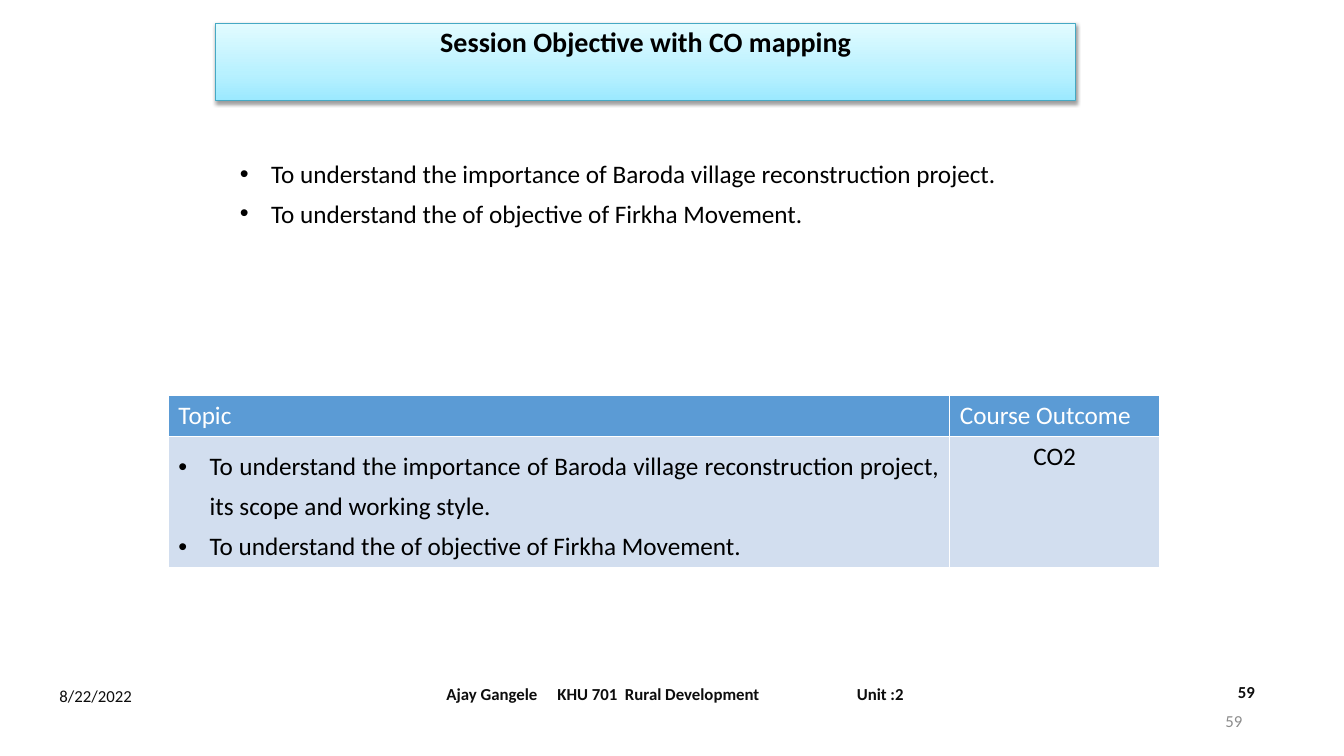
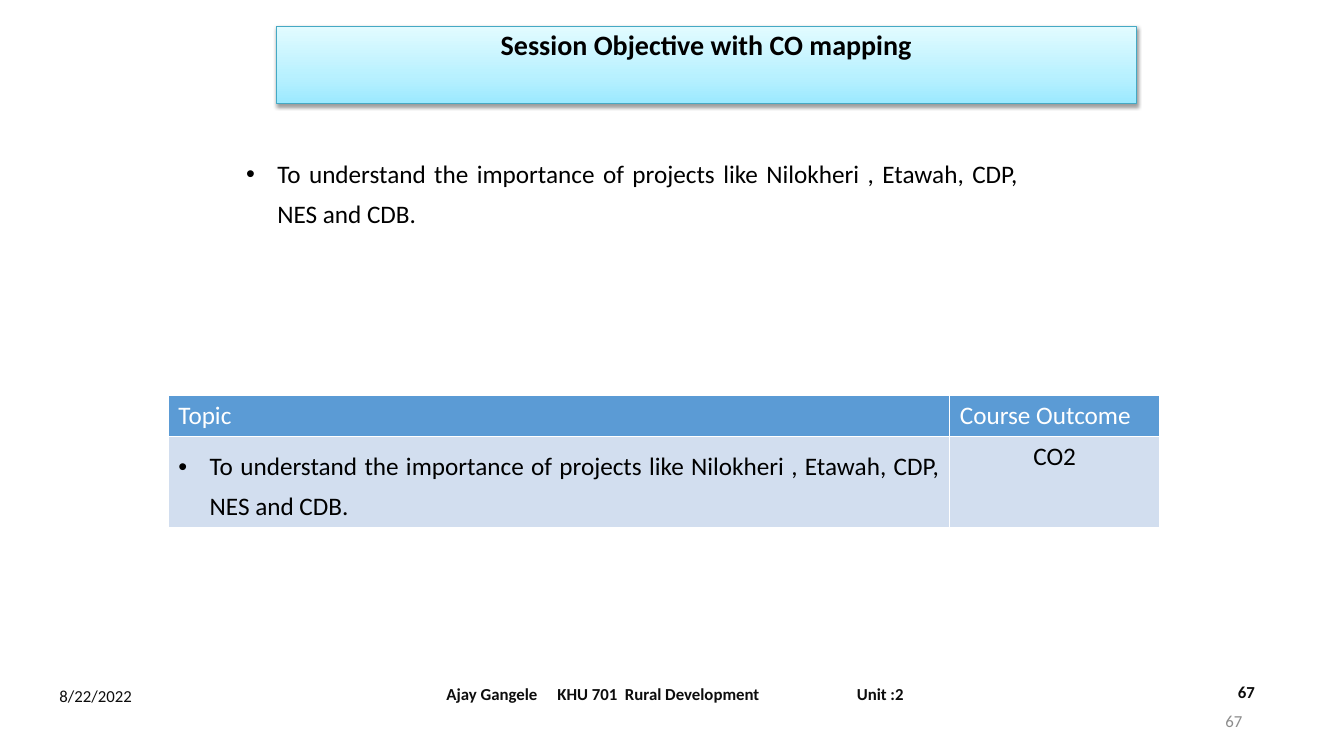
from lxml import etree
from pptx import Presentation
from pptx.dml.color import RGBColor
from pptx.enum.text import MSO_ANCHOR, MSO_AUTO_SIZE, PP_ALIGN
from pptx.oxml import parse_xml
from pptx.oxml.ns import nsdecls, qn
from pptx.util import Inches, Pt

LEFT, CENTER, RIGHT, JUSTIFY = PP_ALIGN.LEFT, PP_ALIGN.CENTER, PP_ALIGN.RIGHT, PP_ALIGN.JUSTIFY
TOP, MIDDLE = MSO_ANCHOR.TOP, MSO_ANCHOR.MIDDLE
NO_FIT = MSO_AUTO_SIZE.NONE

BLACK = RGBColor(0x00, 0x00, 0x00)
WHITE = RGBColor(0xFF, 0xFF, 0xFF)
INK = RGBColor(0x0D, 0x0D, 0x0D)
GRAY = RGBColor(0x8C, 0x8C, 0x8C)
TEAL = RGBColor(0x45, 0xA9, 0xC4)
BLUE = RGBColor(0x5B, 0x9B, 0xD5)
PALE_BLUE = RGBColor(0xD2, 0xDE, 0xEF)
BAND_STOPS = [
    (0, RGBColor(0x9B, 0xE9, 0xFF)),
    (35, RGBColor(0xB8, 0xF1, 0xFF)),
    (100, RGBColor(0xE2, 0xFB, 0xFF)),
]

TITLE = "Session Objective with CO mapping"
DATE = "8/22/2022"
FOOTER = "Ajay Gangele\tKHU 701  Rural Development\tUnit :2"
FOOTER_TABS = (1.1, 4.07)
HEADINGS = ("Topic", "Course Outcome")
COLUMNS = (7.75, 2.08)
HEADER_HEIGHT = 0.41
BULLET_INDENT = Inches(0.31)

SESSIONS = [
    {
        "number": 59,
        "title_at": (2.14, 0.23, 8.53, 0.77),
        "list_at": (2.28, 1.43, 7.86, 0.89),
        "objectives": [
            "To understand the importance of Baroda village reconstruction project.",
            "To understand the of objective of Firkha Movement.",
        ],
        "topics": [
            "To understand the importance of Baroda village reconstruction project, "
            "its scope and working style.",
            "To understand the of objective of Firkha Movement.",
        ],
        "outcome": "CO2",
        "topic_height": 1.27,
    },
    {
        "number": 67,
        "title_at": (2.74, 0.26, 8.53, 0.77),
        "list_at": (2.34, 1.43, 7.86, 0.86),
        "objectives": [
            "To understand the importance of projects like Nilokheri , Etawah, CDP, NES and CDB.",
        ],
        "topics": [
            "To understand the importance of projects like Nilokheri , Etawah, CDP, NES and CDB.",
        ],
        "outcome": "CO2",
        "topic_height": 0.88,
    },
]


class Deck:
    """Holds the shared style and the slide being built."""

    def __init__(self):
        self.prs = Presentation()
        self.prs.slide_width = Inches(13.33)
        self.prs.slide_height = Inches(7.5)
        self.slide = None

    def new_slide(self):
        self.slide = self.prs.slides.add_slide(self.prs.slide_layouts[1])

    def place(self, sp, at):
        for name, value in zip(("left", "top", "width", "height"), at):
            setattr(sp, name, Inches(value))

    def add_text(self, tf, lines, size, color, bold=False, bullets=False, **formats):
        for i, line in enumerate(lines):
            p = tf.paragraphs[0] if i == 0 else tf.add_paragraph()
            if bullets:
                self.bullet(p)
            for name, value in formats.items():
                setattr(p, name, value)
            r = p.add_run()
            r.text = line
            font = {"name": "Calibri", "size": Pt(size), "bold": bold}
            for name, value in font.items():
                setattr(r.font, name, value)
            r.font.color.rgb = color

    def bullet(self, p):
        pPr = p._p.get_or_add_pPr()
        pPr.set("marL", str(BULLET_INDENT))
        pPr.set("indent", str(-BULLET_INDENT))
        color = etree.SubElement(pPr, qn("a:buClr"))
        etree.SubElement(color, qn("a:srgbClr"), val=str(BLACK))
        etree.SubElement(pPr, qn("a:buFont"), typeface="Arial")
        etree.SubElement(pPr, qn("a:buChar"), char="•")

    def title(self, text, at):
        sp = self.slide.shapes.title
        self.place(sp, at)
        spPr = sp._element.spPr
        stops = "".join(
            f'<a:gs pos="{pos * 1000}"><a:srgbClr val="{color}"/></a:gs>'
            for pos, color in BAND_STOPS
        )
        spPr.append(parse_xml(
            f'<a:gradFill {nsdecls("a")} rotWithShape="1"><a:gsLst>{stops}</a:gsLst>'
            '<a:lin ang="16200000" scaled="0"/></a:gradFill>'
        ))
        sp.line.color.rgb = TEAL
        sp.line.width = Pt(0.75)
        spPr.append(parse_xml(
            f'<a:effectLst {nsdecls("a")}><a:outerShdw blurRad="{Pt(3.1)}" '
            f'dist="{Pt(1.6)}" dir="5400000" rotWithShape="0"><a:srgbClr val="{BLACK}">'
            '<a:alpha val="38000"/></a:srgbClr></a:outerShdw></a:effectLst>'
        ))
        tf = sp.text_frame
        tf.auto_size, tf.vertical_anchor = NO_FIT, TOP
        self.add_text(tf, [text], 20, BLACK, bold=True, alignment=CENTER, line_spacing=0.9)

    def bullet_text(self, tf, lines):
        self.add_text(tf, lines, 18, BLACK, bullets=True, alignment=JUSTIFY,
                      line_spacing=1.31, space_before=Pt(0))

    def body(self, lines, at):
        sp = self.slide.placeholders[1]
        self.place(sp, at)
        sp.text_frame.auto_size = NO_FIT
        self.bullet_text(sp.text_frame, lines)

    def label(self, text, at, color=INK, bold=False, align=LEFT, anchor=MIDDLE, tabs=()):
        sp = self.slide.shapes.add_textbox(*map(Inches, at))
        tf = sp.text_frame
        tf.word_wrap, tf.vertical_anchor = True, anchor
        if tabs:
            tab_list = etree.SubElement(tf.paragraphs[0]._p.get_or_add_pPr(), qn("a:tabLst"))
            for pos in tabs:
                etree.SubElement(tab_list, qn("a:tab"), pos=str(Inches(pos)), algn="l")
        self.add_text(tf, [text], 12, color, bold=bold, alignment=align)

    def table(self, topics, outcome, topic_height):
        at = (1.67, 3.92, sum(COLUMNS), HEADER_HEIGHT + topic_height)
        table = self.slide.shapes.add_table(2, 2, *map(Inches, at)).table
        table.horz_banding = False
        for column, width in zip(table.columns, COLUMNS):
            column.width = Inches(width)
        for row, height, color in zip(table.rows, (HEADER_HEIGHT, topic_height), (BLUE, PALE_BLUE)):
            row.height = Inches(height)
            for cell in row.cells:
                cell.fill.solid()
                cell.fill.fore_color.rgb = color
        for col, heading in enumerate(HEADINGS):
            self.add_text(table.cell(0, col).text_frame, [heading], 18, WHITE)
        self.bullet_text(table.cell(1, 0).text_frame, topics)
        self.add_text(table.cell(1, 1).text_frame, [outcome], 18, BLACK, alignment=CENTER)

    def footer(self, number):
        self.label(FOOTER, (4.33, 6.68, 5.32, 0.4), bold=True, tabs=FOOTER_TABS)
        self.label(DATE, (0.49, 6.66, 2.37, 0.49))
        self.label(str(number), (12.18, 6.71, 1.1, 0.41), bold=True, anchor=TOP)
        self.label(str(number), (9.42, 6.95, 3, 0.4), color=GRAY, align=RIGHT)


def main():
    deck = Deck()
    for session in SESSIONS:
        deck.new_slide()
        deck.title(TITLE, session["title_at"])
        deck.body(session["objectives"], session["list_at"])
        deck.table(session["topics"], session["outcome"], session["topic_height"])
        deck.footer(session["number"])
    deck.prs.save("out.pptx")


if __name__ == "__main__":
    main()
